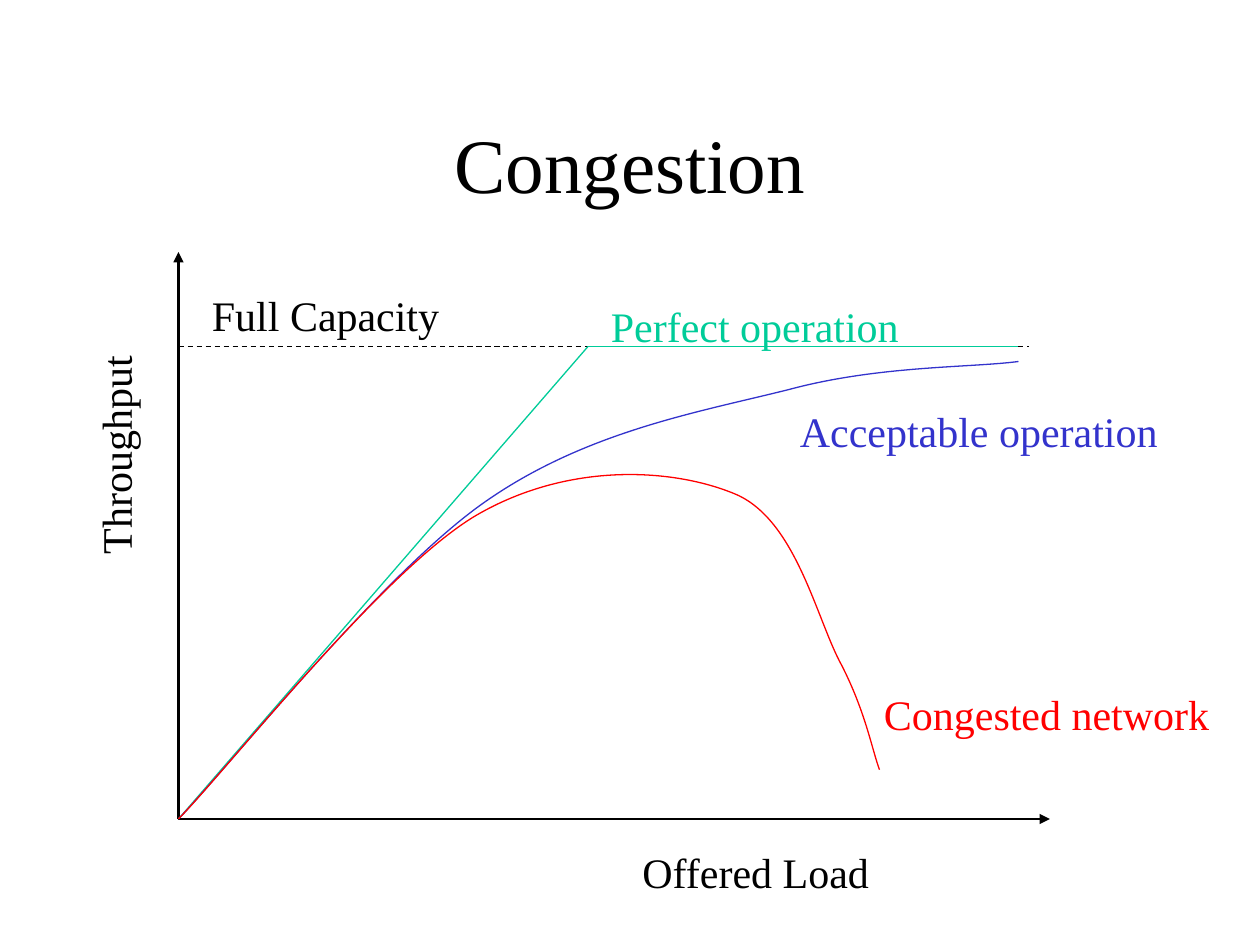
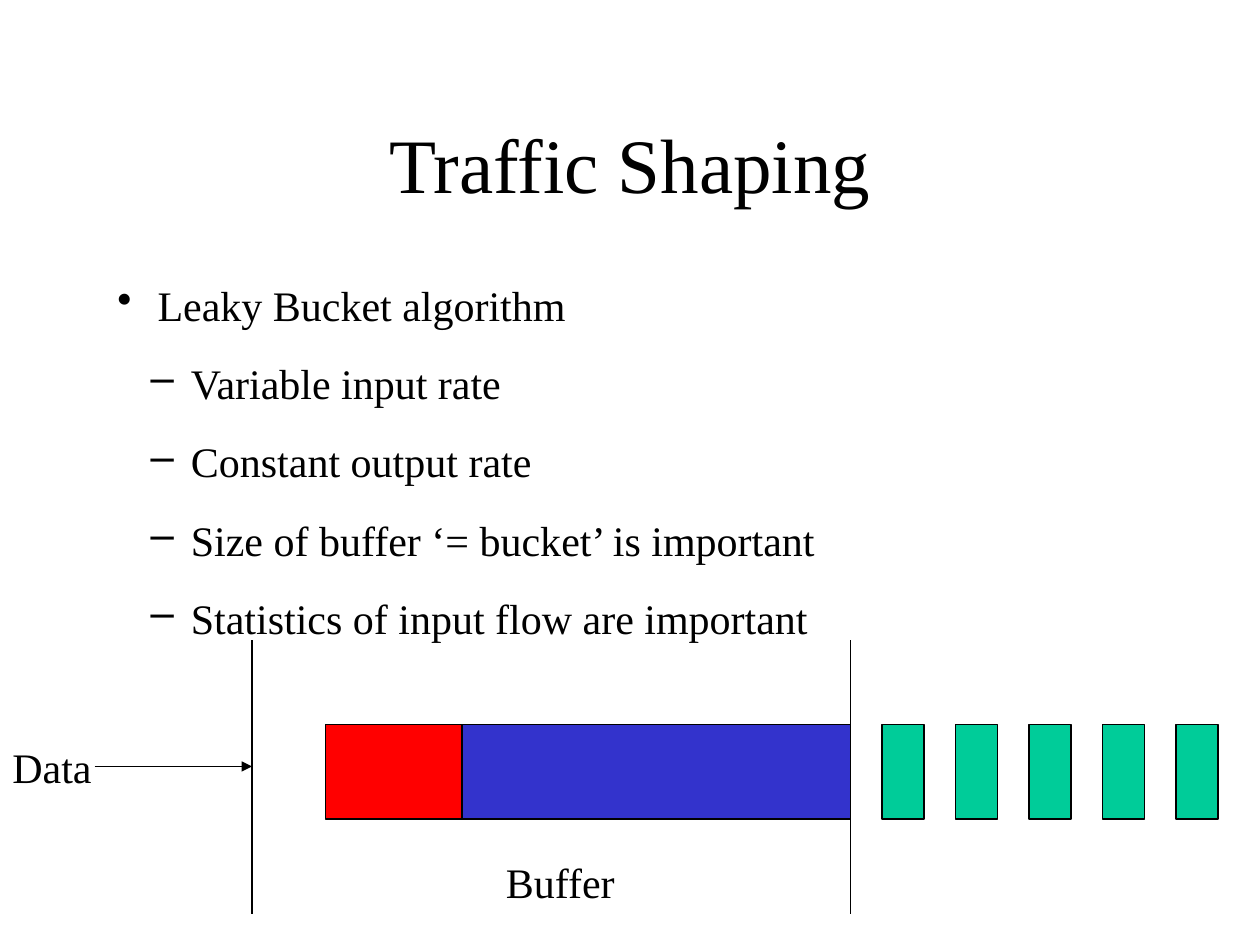
from lxml.etree import SubElement
from pptx import Presentation
from pptx.dml.color import RGBColor
from pptx.enum.dml import MSO_LINE
from pptx.enum.shapes import MSO_CONNECTOR, MSO_SHAPE
from pptx.enum.text import MSO_ANCHOR, MSO_AUTO_SIZE, PP_ALIGN
from pptx.oxml.ns import qn
from pptx.util import Pt

BLACK = RGBColor(0x00, 0x00, 0x00)
GREEN = RGBColor(0x00, 0xCC, 0x99)
BLUE = RGBColor(0x33, 0x33, 0xCC)
RED = RGBColor(0xFF, 0x00, 0x00)
STRAIGHT = MSO_CONNECTOR.STRAIGHT
RECTANGLE = MSO_SHAPE.RECTANGLE
DASH = MSO_LINE.DASH
MIDDLE = MSO_ANCHOR.MIDDLE
FIT_SHAPE = MSO_AUTO_SIZE.SHAPE_TO_FIT_TEXT
CENTER = PP_ALIGN.CENTER
FONT = "Times New Roman"
THIN, THICK = 0.74, 1.5
TITLE_SIZE, BODY_SIZE = 44, 24
LABEL_HEIGHT = 36

ACCEPTABLE_CURVE = [
    (0, 324), (29, 293.8), (116.2, 184.3), (174.5, 143.3),
    (232.8, 102.2), (298.3, 91.4), (349.4, 78.5),
    (400.6, 64.8), (453.1, 66.2), (480, 62.6),
]
CONGESTED_CURVE = [
    (0, 324), (28.3, 295.2), (117.6, 181.4), (170.2, 150.5),
    (223.4, 119.5), (283.2, 123.8), (317.8, 138.2),
    (353, 152.6), (364.6, 210.2), (379, 236.2),
    (392.6, 262.8), (396.2, 283.7), (400.6, 295.9),
]
LEAKY_BUCKET = [
    ("Leaky Bucket algorithm", 0),
    ("Variable input rate", 1),
    ("Constant output rate", 1),
    ("Size of buffer ‘= bucket’ is important", 1),
    ("Statistics of input flow are important", 1),
]


def style_text(paragraph, size, color):
    """Set the shared font on one paragraph."""
    paragraph.font.name = FONT
    paragraph.font.size = Pt(size)
    paragraph.font.color.rgb = color


def add_text_frame(slide, left, top, width, height):
    """Add a wrapping text box and return its shape and frame."""
    box = slide.shapes.add_textbox(Pt(left), Pt(top), Pt(width), Pt(height))
    box.text_frame.word_wrap = True
    return box, box.text_frame


def add_title(slide, title):
    """Place the centred slide title."""
    _, frame = add_text_frame(slide, 54, 48, 612, 90)
    frame.vertical_anchor = MIDDLE
    heading = frame.paragraphs[0]
    heading.text = title
    heading.alignment = CENTER
    style_text(heading, TITLE_SIZE, BLACK)


def add_label(slide, text, left, top, width, color=BLACK, rotation=0):
    """Place a one-line label."""
    label, frame = add_text_frame(slide, left, top, width, LABEL_HEIGHT)
    label.rotation = rotation
    frame.auto_size = FIT_SHAPE
    caption = frame.paragraphs[0]
    caption.text = text
    caption.space_before = Pt(15)
    style_text(caption, BODY_SIZE, color)


def add_line(slide, start, end, color=BLACK, weight=THIN, dash=None, arrow=False):
    """Draw a straight line, with an arrowhead at its end if asked."""
    line = slide.shapes.add_connector(STRAIGHT, *map(Pt, start + end))
    line.line.color.rgb = color
    line.line.width = Pt(weight)
    if dash:
        line.line.dash_style = dash
    if arrow:
        SubElement(line.line._get_or_add_ln(), qn("a:tailEnd"), type="triangle")
    SubElement(line._element.spPr, qn("a:effectLst"))


def add_curve(slide, left, top, points, color):
    """Draw an open Bezier curve through a start and triples of points."""
    start, *rest = [(Pt(left + x), Pt(top + y)) for x, y in points]
    builder = slide.shapes.build_freeform(*start)
    builder.add_line_segments(rest, close=False)
    curve = builder.convert_to_shape()
    curve.shadow.inherit = False
    curve.fill.background()
    curve.line.color.rgb = color
    curve.line.width = Pt(THIN)
    outline = next(curve._element.iter(qn("a:path")))
    segments = outline.findall(qn("a:lnTo"))
    for first in range(0, len(segments), 3):
        bezier = SubElement(outline, qn("a:cubicBezTo"))
        for segment in segments[first:first + 3]:
            bezier.append(segment[0])
            outline.remove(segment)


def add_block(slide, left, top, width, height, color):
    """Draw a filled block of data with a black outline."""
    block = slide.shapes.add_shape(RECTANGLE, Pt(left), Pt(top), Pt(width), Pt(height))
    block.shadow.inherit = False
    block.fill.solid()
    block.fill.fore_color.rgb = color
    block.line.color.rgb = BLACK
    block.line.width = Pt(THIN)


def add_bullets(slide, left, top, width, height, items):
    """Place a two-level bullet list."""
    _, frame = add_text_frame(slide, left, top, width, height)
    frame.auto_size = FIT_SHAPE
    for number, (text, level) in enumerate(items):
        item = frame.add_paragraph() if number else frame.paragraphs[0]
        item.text = text
        item.level = level
        item.space_before = Pt(16)
        style_text(item, BODY_SIZE, BLACK)
        properties = item._p.get_or_add_pPr()
        properties.set("marL", str(Pt(23 + 19 * level)))
        properties.set("indent", str(-Pt(23)))
        bullet = SubElement(properties, qn("a:buChar"), char="•–"[level])
        properties.find(qn("a:defRPr")).addprevious(bullet)


def add_throughput_graph(slide, left, top, width, height):
    """Draw throughput against offered load for three kinds of operation."""
    bottom = top + height
    capacity = top + 54
    origin = (left, bottom)
    knee = (left + 234, capacity)
    add_line(slide, origin, (left, top), weight=THICK, arrow=True)
    add_line(slide, origin, (left + width, bottom), weight=THICK, arrow=True)
    add_label(slide, "Throughput", left - 105, top + 93, 137.5, rotation=270)
    add_label(slide, "Offered Load", left + 258, bottom + 12, 216)
    add_line(slide, (left, capacity), (left + width - 12, capacity), dash=DASH)
    add_label(slide, "Full Capacity", left + 12, capacity - 36, 168)
    add_line(slide, origin, knee, GREEN)
    add_line(slide, knee, (left + 480, capacity), GREEN)
    add_label(slide, "Perfect operation", left + 240, capacity - 30, 204, GREEN)
    add_curve(slide, left, top, ACCEPTABLE_CURVE, BLUE)
    add_label(slide, "Acceptable operation", left + 348, top + 84, 234, BLUE)
    add_curve(slide, left, top, CONGESTED_CURVE, RED)
    add_label(slide, "Congested network", left + 396, top + 246, 204, RED)


def add_leaky_bucket(slide, left, top, height):
    """Draw data entering a buffer and leaving as even packets."""
    entry, leak = left + 144, left + 486
    block_top, block_height = top + 48, 54
    add_label(slide, "Data", left, top + 54, 132)
    add_line(slide, (left + 54, top + 72), (entry, top + 72), arrow=True)
    add_line(slide, (leak, top), (leak, top + height))
    for packet in range(5):
        add_block(slide, leak + 18 + 42 * packet, block_top, 24, block_height, GREEN)
    add_block(slide, leak - 222, block_top, 222, block_height, BLUE)
    add_line(slide, (entry, top), (entry, top + height))
    add_label(slide, "Buffer", left + 282, top + 120, 78)
    add_block(slide, leak - 300, block_top, 78, block_height, RED)


def main():
    """Build both slides and save them."""
    deck = Presentation()
    deck.slide_width, deck.slide_height = Pt(720), Pt(540)
    blank = deck.slide_layouts[6]

    congestion = deck.slides.add_slide(blank)
    add_title(congestion, "Congestion")
    add_throughput_graph(congestion, 102, 144, 498, 324)

    shaping = deck.slides.add_slide(blank)
    add_title(shaping, "Traffic Shaping")
    add_bullets(shaping, 60, 156, 462, 212, LEAKY_BUCKET)
    add_leaky_bucket(shaping, 0, 366, 156)

    deck.save("out.pptx")


main()
